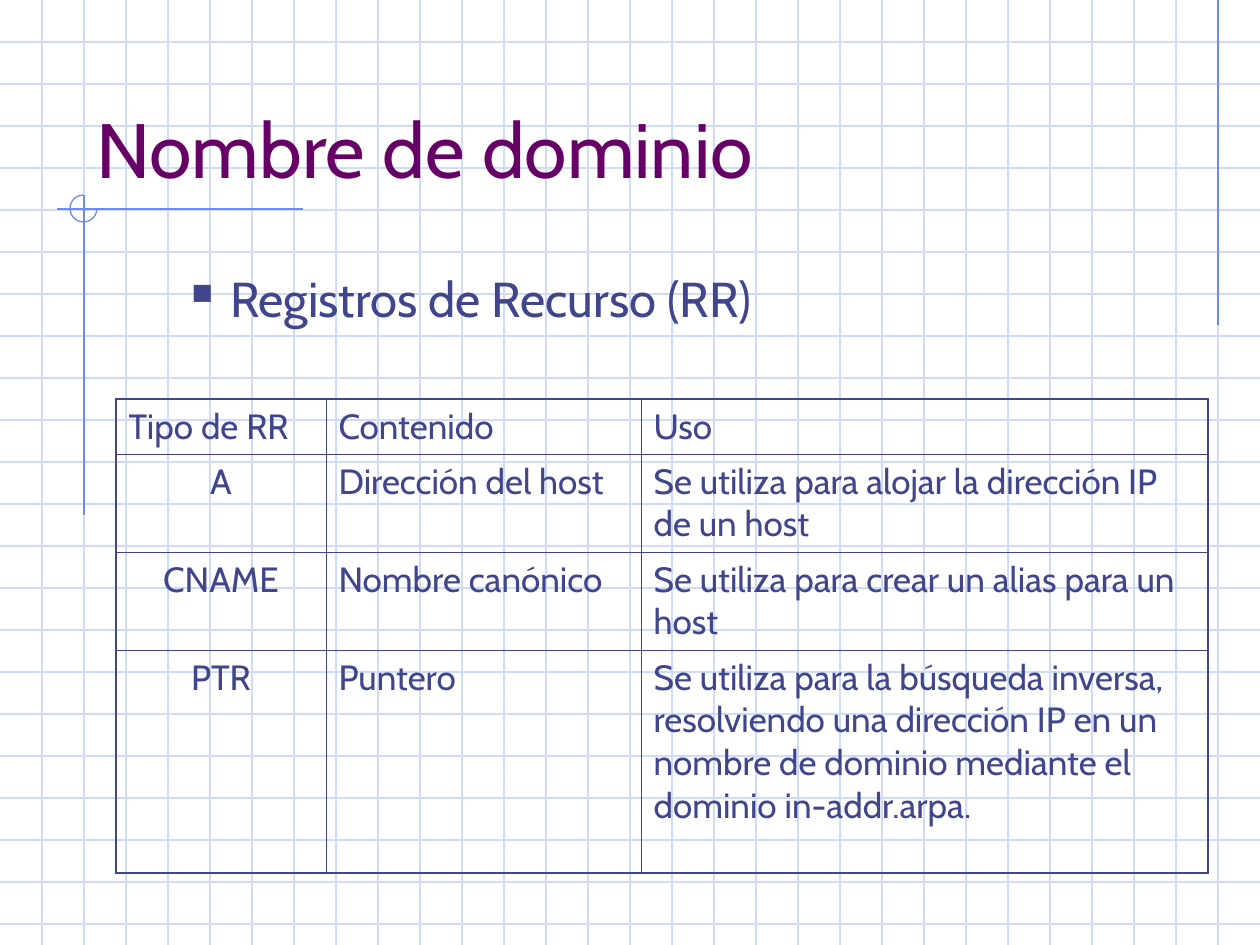
from lxml.etree import SubElement
from pptx import Presentation
from pptx.dml.color import RGBColor
from pptx.enum.shapes import MSO_CONNECTOR as Link, MSO_SHAPE as Shape
from pptx.enum.text import MSO_ANCHOR as Anchor, PP_ALIGN as Align
from pptx.oxml import parse_xml
from pptx.oxml.ns import nsdecls, qn
from pptx.util import Emu, Pt

PX = 914400 / 126
WIDE, HIGH, STEP = 1260, 945, 42
FONT = "Cabin"
PALE = RGBColor(0xCF, 0xDB, 0xFD)
BLUE = RGBColor(0x6F, 0x89, 0xF7)
PLUM = RGBColor(0x66, 0x00, 0x66)
NAVY = RGBColor(0x40, 0x45, 0x8C)
THIN, BOLD = 0.45, 1.08
COLS = [210, 315, 567]
ROWS = [55, 98, 98, 223]
DATA = [
    ["Tipo de RR", "Contenido", "Uso"],
    ["A", "Dirección del host", "Se utiliza para alojar la dirección IP de un host"],
    ["CNAME", "Nombre canónico", "Se utiliza para crear un alias para un host"],
    ["PTR", "Puntero", "Se utiliza para la búsqueda inversa, resolviendo una dirección IP "
     "en un nombre de dominio mediante el dominio in-addr.arpa."],
]


def px(*nums):
    """Turn pixel lengths into EMU."""
    return [Emu(round(n * PX)) for n in nums]


def rule(slide, ends, color):
    """Draw a straight line between two points."""
    line = slide.shapes.add_connector(Link.STRAIGHT, *px(*ends))
    line.line.color.rgb = color
    line.line.width = Pt(0.75)
    SubElement(line._element.spPr, qn("a:effectLst"))


def grid(slide, box):
    """Fill a box with evenly spaced rules."""
    x, y, w, h = box
    for dy in range(STEP, h, STEP):
        rule(slide, (x, y + dy, x + w, y + dy), PALE)
    for dx in range(STEP, w, STEP):
        rule(slide, (x + dx, y, x + dx, y + h), PALE)


def marks(slide, box):
    """Draw the corner cross, its arc and the right-hand rule."""
    x, y, w, h = box
    rule(slide, (x + w, y, x + w, y + 325), BLUE)
    rule(slide, (x + 246, y + 209, x, y + 209), BLUE)
    rule(slide, (x + 27, y + 195, x + 27, y + h), BLUE)
    arc = slide.shapes.add_shape(Shape.ARC, *px(x + 13, y + 195, 27, 27))
    arc.adjustments[0] = 0
    arc.adjustments[1] = 162
    arc.shadow.inherit = False
    arc.fill.background()
    arc.line.color.rgb = BLUE
    arc.line.width = Pt(0.75)


def style(para, size, color):
    """Set the font of a paragraph."""
    para.font.name = FONT
    para.font.size = Pt(size)
    para.font.color.rgb = color


def label(slide, box, text, size, color, anchor):
    """Place a wrapped text box and return its paragraph."""
    frame = slide.shapes.add_textbox(*px(*box)).text_frame
    frame.word_wrap = True
    frame.vertical_anchor = anchor
    para = frame.paragraphs[0]
    para.text = text
    style(para, size, color)
    return para


def bullet(para):
    """Give a paragraph a square bullet and a hanging indent."""
    para.space_before = Pt(7)
    props = para._p.get_or_add_pPr()
    left, hang = px(102, -39)
    props.set("marL", str(left))
    props.set("indent", str(hang))
    color = SubElement(props, qn("a:buClr"))
    SubElement(color, qn("a:srgbClr"), val=str(NAVY))
    SubElement(props, qn("a:buSzPct"), val="60000")
    SubElement(props, qn("a:buChar"), char="■")
    props.append(props.find(qn("a:defRPr")))


def edges(cell, row, col):
    """Border a cell, heavier on the outside of the table."""
    outer = {"L": col == 0, "R": col == len(COLS) - 1,
             "T": row == 0, "B": row == len(ROWS) - 1}
    props = cell._tc.get_or_add_tcPr()
    for spot, (side, out) in enumerate(outer.items()):
        width = Pt(BOLD if out else THIN)
        props.insert(spot, parse_xml(
            f'<a:ln{side} {nsdecls("a")} w="{width}"><a:solidFill>'
            f'<a:srgbClr val="{NAVY}"/></a:solidFill></a:ln{side}>'))


def records(slide, box):
    """Place the table of resource records."""
    table = slide.shapes.add_table(len(ROWS), len(COLS), *px(*box)).table
    table.first_row = table.horz_banding = False
    for col, width in zip(table.columns, px(*COLS)):
        col.width = width
    for row, height in zip(table.rows, px(*ROWS)):
        row.height = height
    for r, line in enumerate(DATA):
        for c, text in enumerate(line):
            cell = table.cell(r, c)
            cell.text = text
            cell.fill.background()
            para = cell.text_frame.paragraphs[0]
            para.alignment = Align.CENTER if r and not c else Align.LEFT
            para.space_before = Pt(5)
            style(para, 20, NAVY)
            edges(cell, r, c)


def main():
    """Build and save the slide."""
    deck = Presentation()
    deck.slide_width, deck.slide_height = px(WIDE, HIGH)
    slide = deck.slides.add_slide(deck.slide_layouts[6])
    grid(slide, (0, 0, WIDE, HIGH))
    marks(slide, (57, 0, 1161, 515))
    label(slide, (84, 42, 1071, 158), "Nombre de dominio", 44, PLUM, Anchor.BOTTOM)
    bullet(label(slide, (116, 262, 1071, 567), "Registros de Recurso (RR)",
                 28, NAVY, Anchor.TOP))
    records(slide, (116, 399, sum(COLS), sum(ROWS)))
    deck.save("out.pptx")


if __name__ == "__main__":
    main()
